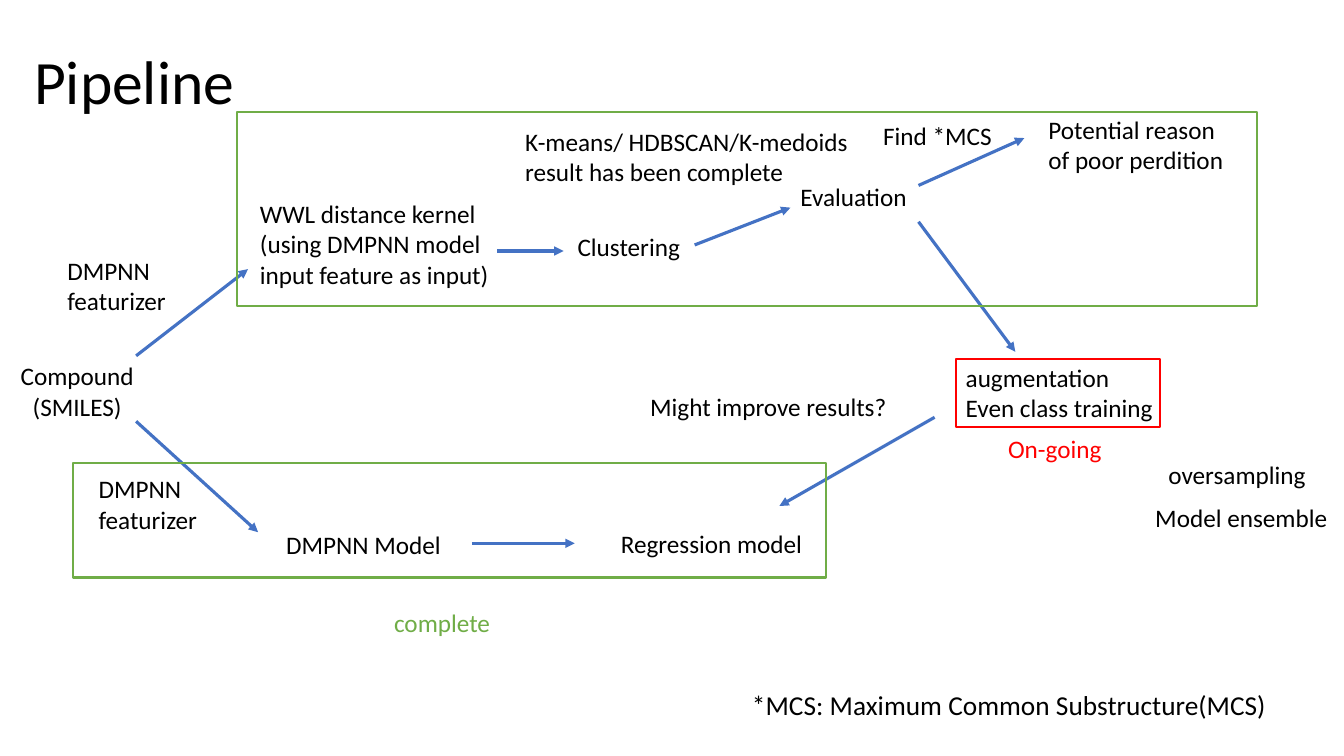
from lxml import etree
from pptx import Presentation
from pptx.dml.color import RGBColor
from pptx.enum.shapes import MSO_CONNECTOR, MSO_SHAPE
from pptx.enum.text import MSO_ANCHOR, PP_ALIGN
from pptx.oxml.ns import qn
from pptx.util import Inches, Pt

BLACK = RGBColor(0x00, 0x00, 0x00)
BLUE = RGBColor(0x44, 0x72, 0xC4)
GREEN = RGBColor(0x70, 0xAD, 0x47)
RED = RGBColor(0xFF, 0x00, 0x00)

# text, (left, top, width, height)
HEADING = ("Pipeline", (0.24, 0.31, 2.22, 1.05))
FOOTNOTE = ("*MCS: Maximum Common Substructure(MCS)", (7.36, 6.68, 5.41, 0.66))
COMPOUND = ("Compound\n(SMILES)", (0.04, 3.53, 1.45, 0.71))
LABELS = [
    ("WWL distance kernel\n(using DMPNN model input feature as input)",
     (2.48, 1.92, 2.66, 1.01)),
    ("Clustering", (5.63, 2.25, 1.29, 0.4)),
    ("Evaluation", (7.84, 1.75, 1.64, 0.4)),
    ("augmentation\nEven class training", (9.48, 3.54, 2.16, 0.71)),
    ("DMPNN Model", (2.74, 5.2, 1.76, 0.4)),
    ("Regression model", (6.06, 5.19, 2.6, 0.4)),
    ("Potential reason of poor perdition", (10.3, 1.08, 2.03, 0.71)),
    ("Find *MCS", (8.66, 1.14, 1.31, 0.4)),
    ("Might improve results?", (6.35, 3.83, 2.78, 0.4)),
    ("DMPNN featurizer", (0.57, 2.48, 1.29, 0.71)),
    ("DMPNN featurizer", (0.88, 4.65, 1.29, 0.71)),
    ("K-means/ HDBSCAN/K-medoids result has been complete",
     (5.11, 1.2, 3.41, 0.71)),
    ("oversampling", (11.49, 4.51, 1.66, 0.4)),
    ("Model ensemble", (11.36, 4.93, 1.97, 0.4)),
]
STATUSES = [
    ("complete", (3.81, 5.98, 1.52, 0.4), GREEN),
    ("On-going", (9.9, 4.25, 1.46, 0.4), RED),
]
FRAMES = [
    ((0.72, 4.59, 7.47, 1.14), GREEN),
    ((2.35, 1.11, 10.12, 1.93), GREEN),
    ((9.48, 3.56, 2.03, 0.68), RED),
]
# start x, start y, end x, end y
ARROWS = [
    (1.35, 3.53, 2.46, 2.67),
    (4.68, 5.39, 5.7, 5.39),
    (1.35, 4.18, 2.56, 5.28),
    (4.93, 2.49, 5.59, 2.49),
    (6.89, 2.43, 7.84, 2.06),
    (9.11, 2.2, 10.07, 3.49),
    (9.11, 1.84, 10.16, 1.37),
    (9.27, 4.14, 7.73, 5.02),
]


def add_text(s, text, box, size=18, color=BLACK, align=PP_ALIGN.LEFT,
             anchor=MSO_ANCHOR.TOP, spacing=1.0):
    tf = s.shapes.add_textbox(*map(Inches, box)).text_frame
    tf.word_wrap = True
    tf.vertical_anchor = anchor
    tf.text = text
    for p in tf.paragraphs:
        p.alignment = align
        p.line_spacing = spacing
        p.font.name = "Calibri"
        p.font.size = Pt(size)
        p.font.color.rgb = color


def add_frame(s, box, color):
    sp = s.shapes.add_shape(MSO_SHAPE.RECTANGLE, *map(Inches, box))
    sp.shadow.inherit = False
    sp.fill.background()
    sp.line.color.rgb = color
    sp.line.width = Pt(1.5)


def add_arrow(s, ends):
    cx = s.shapes.add_connector(MSO_CONNECTOR.STRAIGHT, *map(Inches, ends))
    cx.line.color.rgb = BLUE
    cx.line.width = Pt(2.25)
    etree.SubElement(cx.line._get_or_add_ln(), qn("a:tailEnd"), type="triangle")
    etree.SubElement(cx._element.spPr, qn("a:effectLst"))


def main():
    prs = Presentation()
    prs.slide_width, prs.slide_height = Inches(13.33), Inches(7.5)
    s = prs.slides.add_slide(prs.slide_layouts[6])
    add_text(s, *HEADING, size=44, anchor=MSO_ANCHOR.MIDDLE, spacing=0.9)
    add_text(s, *COMPOUND, align=PP_ALIGN.CENTER)
    for text, box in LABELS:
        add_text(s, text, box)
    for ends in ARROWS:
        add_arrow(s, ends)
    for box, color in FRAMES:
        add_frame(s, box, color)
    for text, box, color in STATUSES:
        add_text(s, text, box, color=color)
    add_text(s, *FOOTNOTE, size=19.5, anchor=MSO_ANCHOR.MIDDLE, spacing=0.9)
    prs.save("out.pptx")


if __name__ == "__main__":
    main()
